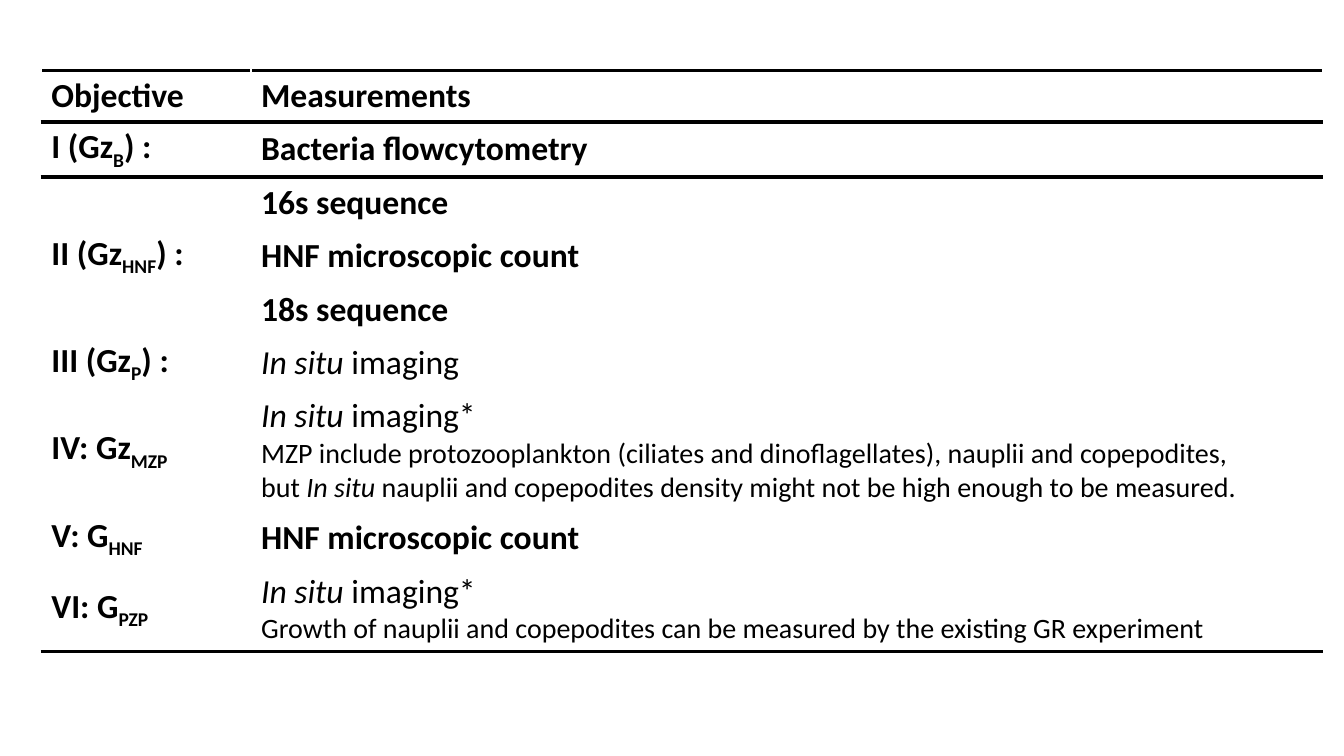
from lxml import etree
from pptx import Presentation
from pptx.dml.color import RGBColor
from pptx.enum.text import MSO_ANCHOR
from pptx.oxml.ns import qn
from pptx.util import Inches, Pt

MIDDLE, TOP = MSO_ANCHOR.MIDDLE, MSO_ANCHOR.TOP
FONT, BLACK, WHITE = "Calibri", "000000", "FFFFFF"
LARGE, SMALL = 24, 20
BLANK_LAYOUT = 6

COLUMN_WIDTHS = [2.08, 10.63]
ROW_HEIGHT = 0.41  # minimum; rows grow with their text
TABLE_HEIGHT = 5.5
RULES = {0, 1, 2, 9}  # row boundaries that carry a black line


# Run styles: (text, size, style)
def bold(text):
    return text, LARGE, "bold"


def sub(text):
    return text, LARGE, "bold sub"


def plain(text, size=LARGE):
    return text, size, ""


def italic(text, size=LARGE):
    return text, size, "italic"


def objective(lead, subscript, tail=""):
    runs = [bold(lead), sub(subscript)]
    return [runs + [bold(tail)] if tail else runs]


def in_situ(method):
    return [italic("In situ "), plain(method)]


# Each cell is a list of paragraphs, each paragraph a list of runs
ROWS = [
    ([[bold("Objective")]], [[bold("Measurements")]]),
    (objective("I (Gz", "B", ") :"), [[bold("Bacteria flowcytometry")]]),
    ([], [[bold("16s sequence")]]),
    (objective("II (Gz", "HNF", ") :"), [[bold("HNF microscopic count")]]),
    ([], [[bold("18s sequence")]]),
    (objective("III (Gz", "P", ") :"), [in_situ("imaging")]),
    (objective("IV: Gz", "MZP"), [
        in_situ("imaging*"),
        [plain("MZP include protozooplankton (ciliates and dinoflagellates), "
               "nauplii and copepodites,", SMALL)],
        [plain("but ", SMALL), italic("In situ ", SMALL),
         plain("nauplii and copepodites density might not be high enough "
               "to be measured.", SMALL)],
    ]),
    (objective("V: G", "HNF"), [[bold("HNF microscopic count")]]),
    (objective("VI: G", "PZP"), [
        in_situ("imaging*"),
        [plain("Growth of nauplii and copepodites can be measured by the "
               "existing GR experiment", SMALL)],
    ]),
]


def color(value):
    return RGBColor.from_string(value)


def add_run(para, text, size, style):
    span = para.add_run()
    span.text = text
    font = span.font
    font.name, font.size = FONT, Pt(size)
    font.bold, font.italic = "bold" in style, "italic" in style
    font.color.rgb = color(BLACK)
    if "sub" in style:
        span._r.get_or_add_rPr().set("baseline", "-25000")


def add_border(cell, side, value, width):
    properties = cell._tc.get_or_add_tcPr()
    line = etree.SubElement(properties, qn("a:ln" + side), w=str(Pt(width)))
    fill = etree.SubElement(line, qn("a:solidFill"))
    etree.SubElement(fill, qn("a:srgbClr"), val=value)


def fill_cell(cell, paragraphs, row):
    # Borders come before the fill in the cell properties
    for side, boundary in (("L", None), ("R", None), ("T", row), ("B", row + 1)):
        ruled = boundary in RULES
        add_border(cell, side, BLACK if ruled else WHITE, 3 if ruled else 1)
    cell.fill.solid()
    cell.fill.fore_color.rgb = color(WHITE)
    cell.vertical_anchor = MIDDLE if row else TOP
    frame = cell.text_frame
    for index, runs in enumerate(paragraphs):
        para = frame.add_paragraph() if index else frame.paragraphs[0]
        for run in runs:
            add_run(para, *run)


def add_measurement_table(page):
    frame = page.shapes.add_table(
        len(ROWS), len(COLUMN_WIDTHS), Inches(0.41), Inches(0.7),
        Inches(sum(COLUMN_WIDTHS)), Inches(TABLE_HEIGHT))
    table = frame.table
    table.first_row = table.horz_banding = False
    for column, width in zip(table.columns, COLUMN_WIDTHS):
        column.width = Inches(width)
    for index, row in enumerate(table.rows):
        row.height = Inches(ROW_HEIGHT)
        for cell, paragraphs in zip(row.cells, ROWS[index]):
            fill_cell(cell, paragraphs, index)
    # Changing the rows resets the frame height
    frame.height = Inches(TABLE_HEIGHT)


def main():
    deck = Presentation()
    deck.slide_width, deck.slide_height = Inches(13.33), Inches(7.5)
    page = deck.slides.add_slide(deck.slide_layouts[BLANK_LAYOUT])
    add_measurement_table(page)
    deck.save("out.pptx")


main()
